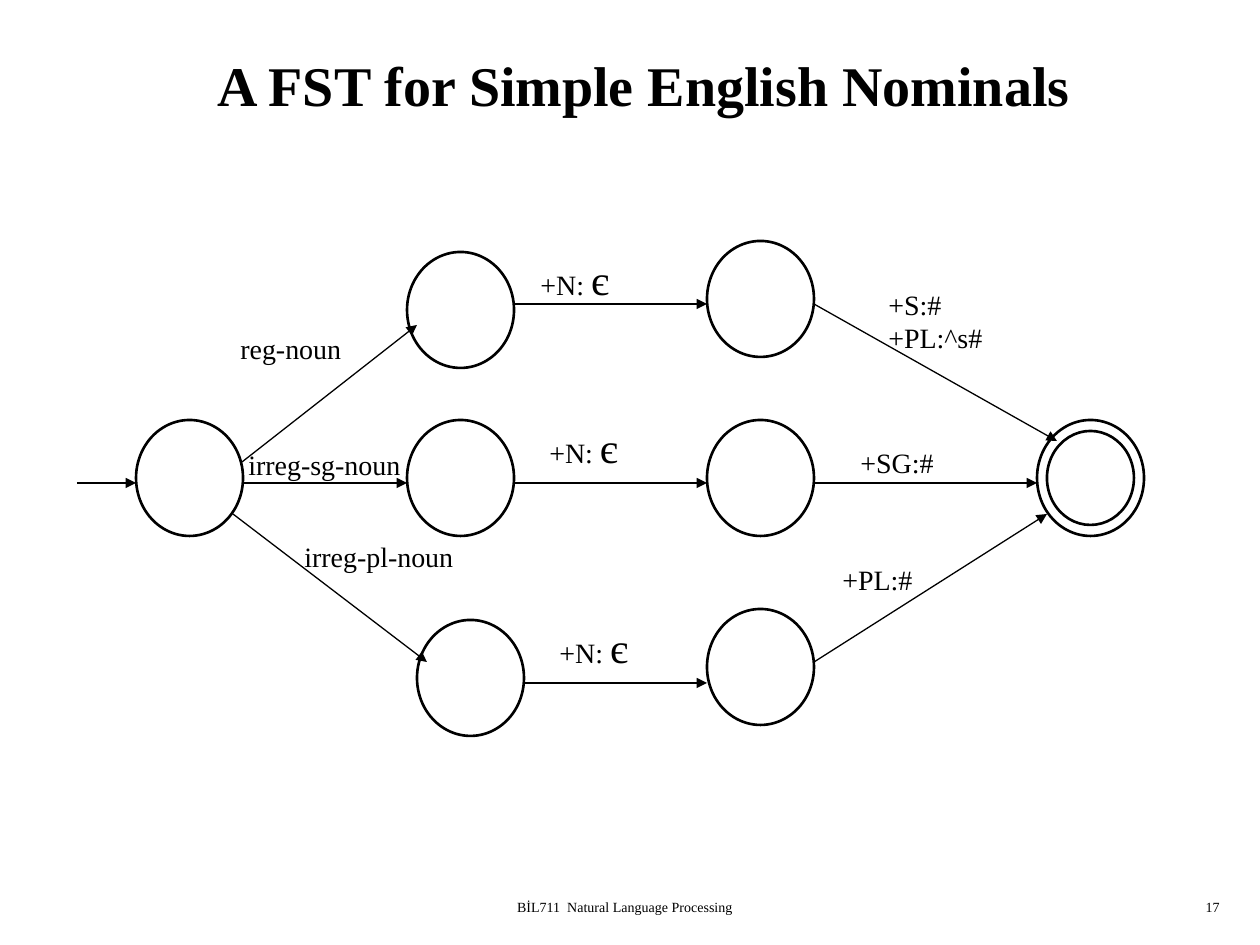
import pptx
import pptx.util
import pptx.dml.color
import pptx.enum.shapes
import pptx.enum.text
import pptx.oxml.ns
from dataclasses import dataclass
from lxml import etree

SCALE = 914400 / 126
ALIGN = pptx.enum.text.PP_ALIGN
ANCHOR = pptx.enum.text.MSO_ANCHOR


@dataclass(frozen=True)
class Theme:
    font: str = "Times New Roman"
    ink: pptx.dml.color.RGBColor = pptx.dml.color.RGBColor(0, 0, 0)
    title: int = 32
    label: int = 16
    symbol: int = 24
    footer: int = 8
    ring: float = 1.5
    edge: float = 0.75


THEME = Theme()


def px(*values):
    return [pptx.util.Emu(round(v * SCALE)) for v in values]


def stroke(line, width):
    line.color.rgb = THEME.ink
    line.width = pptx.util.Pt(width)


def state(slide, left, top, width=107, height=116):
    kind = pptx.enum.shapes.MSO_SHAPE.OVAL
    ring = slide.shapes.add_shape(kind, *px(left, top, width, height))
    ring.shadow.inherit = False
    ring.fill.background()
    stroke(ring.line, THEME.ring)


def arrow(slide, *ends):
    kind = pptx.enum.shapes.MSO_CONNECTOR.STRAIGHT
    edge = slide.shapes.add_connector(kind, *px(*ends))
    stroke(edge.line, THEME.edge)
    qn = pptx.oxml.ns.qn
    tip = etree.SubElement(edge.line._get_or_add_ln(), qn("a:tailEnd"))
    tip.set("type", "triangle")
    etree.SubElement(edge._element.spPr, qn("a:effectLst"))


def text(slide, area, lines, align=ALIGN.LEFT, bold=False, anchor=ANCHOR.TOP):
    frame = slide.shapes.add_textbox(*px(*area)).text_frame
    frame.word_wrap = True
    frame.vertical_anchor = anchor
    for row, runs in enumerate(lines):
        para = frame.add_paragraph() if row else frame.paragraphs[0]
        para.alignment = align
        for words, size in runs:
            run = para.add_run()
            run.text = words
            run.font.name = THEME.font
            run.font.size = pptx.util.Pt(size)
            run.font.bold = bold
            run.font.color.rgb = THEME.ink


def label(slide, left, top, width, height, *lines):
    text(slide, (left, top, width, height),
         [[(line, THEME.label)] for line in lines])


def noun(slide, left, top):
    runs = [("+N: ", THEME.label), ("є", THEME.symbol)]
    text(slide, (left, top, 99, 63), [runs])


def frame(slide):
    text(slide, (389, 892, 472, 32),
         [[("BİL711  Natural Language Processing", THEME.footer)]], ALIGN.CENTER)
    text(slide, (970, 892, 262, 32), [[("17", THEME.footer)]], ALIGN.RIGHT)
    text(slide, (48, 21, 1192, 126),
         [[("A FST for Simple English Nominals", THEME.title)]],
         ALIGN.CENTER, bold=True, anchor=ANCHOR.MIDDLE)


def graph(slide):
    for left in (136, 407, 707, 1037):
        state(slide, left, 420)
    for left, top in ((407, 252), (417, 620), (707, 241), (707, 609)):
        state(slide, left, top)
    state(slide, 1047, 431, 87, 94)
    for left, right in ((77, 136), (242, 407), (514, 707), (814, 1037)):
        arrow(slide, left, 483, right, 483)
    for ends in (
        (242, 462, 417, 325),
        (233, 514, 427, 662),
        (514, 304, 707, 304),
        (523, 683, 707, 683),
        (814, 304, 1057, 441),
        (814, 662, 1047, 514),
    ):
        arrow(slide, *ends)


def labels(slide):
    label(slide, 228, 325, 132, 47, "reg-noun")
    label(slide, 236, 441, 182, 47, "irreg-sg-noun")
    label(slide, 292, 533, 180, 47, "irreg-pl-noun")
    for left, top in ((528, 247), (537, 415), (547, 615)):
        noun(slide, left, top)
    label(slide, 876, 281, 124, 81, "+S:#", "+PL:^s#")
    label(slide, 848, 439, 104, 47, "+SG:#")
    label(slide, 830, 556, 101, 47, "+PL:#")


def main():
    deck = pptx.Presentation()
    deck.slide_width, deck.slide_height = px(1260, 945)
    slide = deck.slides.add_slide(deck.slide_layouts[6])
    frame(slide)
    graph(slide)
    labels(slide)
    deck.save("out.pptx")


if __name__ == "__main__":
    main()
